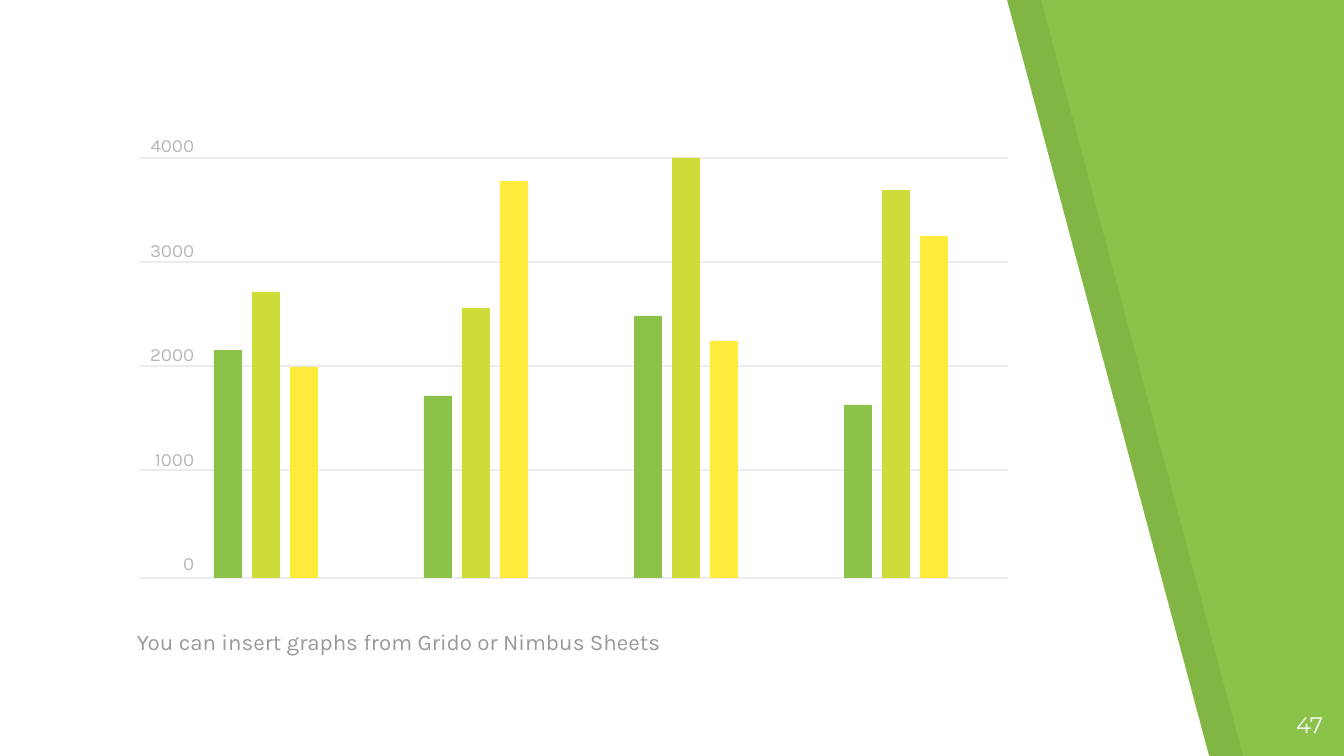
from dataclasses import dataclass

from lxml import etree
from pptx import Presentation
from pptx.dml.color import RGBColor
from pptx.enum.shapes import MSO_CONNECTOR, MSO_SHAPE
from pptx.enum.text import MSO_ANCHOR, PP_ALIGN
from pptx.oxml.ns import qn
from pptx.util import Emu, Pt

STRAIGHT = MSO_CONNECTOR.STRAIGHT
RECTANGLE = MSO_SHAPE.RECTANGLE
TOP, BOTTOM = MSO_ANCHOR.TOP, MSO_ANCHOR.BOTTOM
LEFT, RIGHT = PP_ALIGN.LEFT, PP_ALIGN.RIGHT

EMU_PER_PX = 914400 / 134.4
SLIDE_W, SLIDE_H = 1344, 756


@dataclass(frozen=True)
class Theme:
    green: str = "8BC34A"
    lime: str = "CDDC39"
    yellow: str = "FFEB3B"
    white: str = "FFFFFF"
    shade: str = "000000"
    grid: str = "ECECEC"
    axis: str = "B7B7B7"
    caption: str = "999999"
    body_font: str = "Karla"
    number_font: str = "Montserrat"
    body_size: float = 12
    axis_size: float = 10


@dataclass(frozen=True)
class TextBlock:
    lines: tuple[str, ...]
    left: int
    top: int
    width: int
    height: int
    font: str
    size: float
    color: str
    align: PP_ALIGN = LEFT
    anchor: MSO_ANCHOR = TOP
    inset: int = 13
    gap: float = 0


@dataclass(frozen=True)
class Series:
    color: str
    values: tuple[int, ...]


THEME = Theme()

# Chart data and geometry
SERIES = (
    Series(THEME.green, (2170, 1730, 2500, 1650)),
    Series(THEME.lime, (2720, 2570, 4000, 3700)),
    Series(THEME.yellow, (2010, 3780, 2260, 3260)),
)
AXIS_MAX, AXIS_STEP = 4000, 1000
PLOT_LEFT, PLOT_RIGHT = 140, 1008
PLOT_TOP, BASELINE = 158, 578
GRID_STEP = 104
FIRST_BAR, BAR_W, BAR_STEP, GROUP_STEP = 214, 28, 38, 210

# White panel and the shaded band beside it
PANEL_TOP_W, PANEL_BOTTOM_W, BAND_W = 1007, 1209, 34

TEXTS = (
    TextBlock(("You can insert graphs from Grido or Nimbus Sheets",),
              124, 591, 1153, 77, THEME.body_font, THEME.body_size,
              THEME.caption, anchor=BOTTOM),
    TextBlock(("47",), 1255, 698, 81, 58, THEME.number_font,
              THEME.body_size, THEME.white, align=RIGHT),
    TextBlock(tuple(str(v) for v in range(AXIS_MAX, -1, -AXIS_STEP)),
              PLOT_LEFT, 134, 54, 445, THEME.body_font, THEME.axis_size,
              THEME.axis, align=RIGHT, inset=0, gap=44),
)


def px(length: int) -> Emu:
    return Emu(round(length * EMU_PER_PX))


def rgb(color: str) -> RGBColor:
    return RGBColor.from_string(color)


def paint(shape, color: str) -> None:
    shape.shadow.inherit = False
    shape.fill.solid()
    shape.fill.fore_color.rgb = rgb(color)
    shape.line.fill.background()


def add_panel(slide, left: int, color: str, opacity: int = 100) -> None:
    builder = slide.shapes.build_freeform(left, 0, scale=EMU_PER_PX)
    builder.add_line_segments(
        [(left, SLIDE_H), (left + PANEL_BOTTOM_W, SLIDE_H),
         (left + PANEL_TOP_W, 0)], close=True)
    panel = builder.convert_to_shape()
    paint(panel, color)
    if opacity < 100:
        fill_color = panel.fill._xPr.find(qn("a:solidFill"))[0]
        etree.SubElement(fill_color, qn("a:alpha"), val=str(opacity * 1000))


def add_gridline(slide, y: int) -> None:
    line = slide.shapes.add_connector(
        STRAIGHT, px(PLOT_LEFT), px(y), px(PLOT_RIGHT), px(y))
    line.line.color.rgb = rgb(THEME.grid)
    line.line.width = Pt(0.75)
    etree.SubElement(line._element.spPr, qn("a:effectLst"))


def add_bar(slide, left: int, value: int, color: str) -> None:
    height = round(value / AXIS_MAX * (BASELINE - PLOT_TOP))
    bar = slide.shapes.add_shape(
        RECTANGLE, px(left), px(BASELINE - height), px(BAR_W), px(height))
    paint(bar, color)


def add_text(slide, block: TextBlock) -> None:
    box = slide.shapes.add_textbox(
        px(block.left), px(block.top), px(block.width), px(block.height))
    frame = box.text_frame
    frame.word_wrap = True
    frame.vertical_anchor = block.anchor
    frame.margin_left = frame.margin_right = px(block.inset)
    frame.margin_top = frame.margin_bottom = px(block.inset)
    frame.text = "\n".join(block.lines)
    for index, paragraph in enumerate(frame.paragraphs):
        paragraph.alignment = block.align
        if index and block.gap:
            paragraph.space_before = Pt(block.gap)
        for run in paragraph.runs:
            run.font.name = block.font
            run.font.size = Pt(block.size)
            run.font.color.rgb = rgb(block.color)


def main() -> None:
    deck = Presentation()
    deck.slide_width, deck.slide_height = px(SLIDE_W), px(SLIDE_H)
    slide = deck.slides.add_slide(deck.slide_layouts[6])

    # Background
    slide.background.fill.solid()
    slide.background.fill.fore_color.rgb = rgb(THEME.green)
    add_panel(slide, BAND_W, THEME.shade, opacity=7)
    add_panel(slide, 0, THEME.white)

    # Gridlines; the lowest interval is slightly taller
    for y in (*range(PLOT_TOP, PLOT_TOP + 4 * GRID_STEP, GRID_STEP), BASELINE):
        add_gridline(slide, y)

    # Caption, page number and axis labels
    for block in TEXTS:
        add_text(slide, block)

    # Bars, group by group
    for group in range(len(SERIES[0].values)):
        for position, series in enumerate(SERIES):
            left = FIRST_BAR + group * GROUP_STEP + position * BAR_STEP
            add_bar(slide, left, series.values[group], series.color)

    deck.save("out.pptx")


if __name__ == "__main__":
    main()
